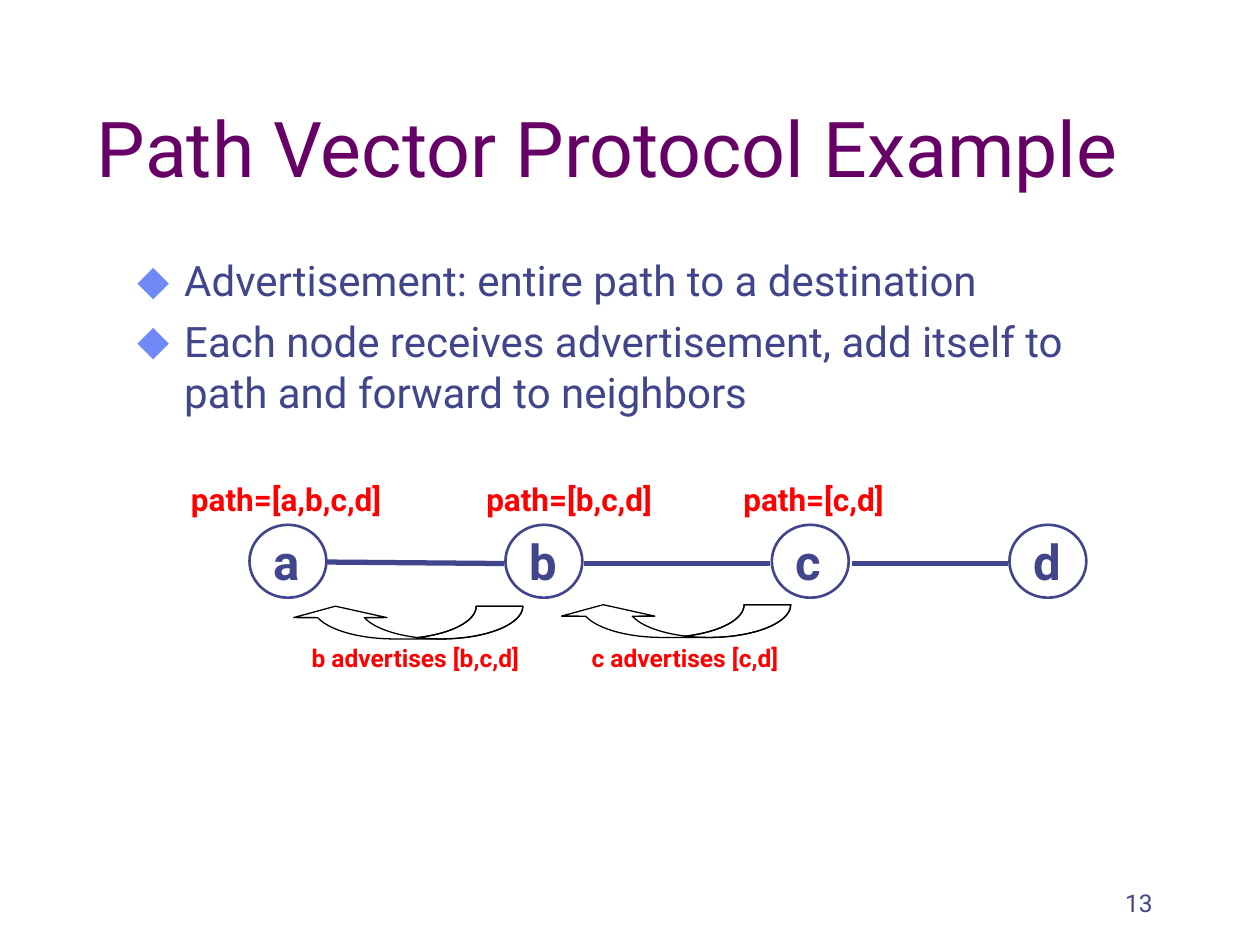
"""Build a slide that shows path vector advertisements along a chain of nodes."""
from copy import deepcopy
from math import acos, asin, cos, pi, sin, tan

from lxml.etree import SubElement
from pptx import Presentation
from pptx.dml.color import RGBColor as RGB
from pptx.enum.shapes import MSO_CONNECTOR as LINK, MSO_SHAPE as SHAPE
from pptx.enum.text import MSO_ANCHOR as ANCHOR, MSO_AUTO_SIZE as AUTO, PP_ALIGN as ALIGN
from pptx.oxml.ns import qn
from pptx.util import Cm, Pt

HUES = {"title": "660066", "ink": "40458C", "mark": "6F89F7", "note": "FF0000", "edge": "000000"}


def write(shape, lines, size, hue, bold=False, align=ALIGN.LEFT, anchor=ANCHOR.TOP):
    frame = shape.text_frame
    frame.text = "\n".join(lines)
    frame.word_wrap = True
    frame.auto_size = AUTO.NONE
    frame.vertical_anchor = anchor
    for para in frame.paragraphs:
        para.alignment = align
        para.font.name = "Roboto"
        para.font.size = Pt(size)
        para.font.bold = bold
        para.font.color.rgb = RGB.from_string(HUES[hue])


def arc(mid, start, end):
    pull = 4 / 3 * tan((end - start) / 4)
    spots = [
        (cos(start) - pull * sin(start), sin(start) + pull * cos(start)),
        (cos(end) + pull * sin(end), sin(end) - pull * cos(end)),
        (cos(end), sin(end)),
    ]
    return [(Cm(mid + 1.65 * x), Cm(0.66 + 0.66 * y)) for x, y in spots]


deck = Presentation()
deck.slide_width, deck.slide_height = Cm(25.4), Cm(19.05)
slide = deck.slides.add_slide(deck.slide_layouts[1])
shapes = slide.shapes

title, body = slide.placeholders
title.left, title.top, title.width, title.height = Cm(1.7), Cm(0.84), Cm(21.59), Cm(3.18)
write(title, ["Path Vector Protocol Example"], 44, "title", anchor=ANCHOR.BOTTOM)

body.left, body.top, body.width, body.height = Cm(2.51), Cm(5.01), Cm(20.7), Cm(11.43)
points = [
    "Advertisement: entire path to a destination",
    "Each node receives advertisement, add itself to path and forward to neighbors",
]
write(body, points, 24, "ink")
for para in body.text_frame.paragraphs:
    para.space_before = Pt(6)
    props = para._p.get_or_add_pPr()
    props.set("marL", str(Cm(0.95)))
    props.set("indent", str(Cm(-0.95)))
    font = props.find(qn("a:defRPr"))
    props.remove(font)
    SubElement(SubElement(props, qn("a:buClr")), qn("a:srgbClr"), val=HUES["mark"])
    SubElement(props, qn("a:buSzPct"), val="110000")
    SubElement(props, qn("a:buChar"), char="⬥")
    props.append(font)

labels = [
    ("path=[c,d]", 14.1, 9.55, 4.6, 1.02, 18),
    ("path=[b,c,d]", 8.95, 9.55, 5.05, 1.02, 18),
    ("path=[a,b,c,d]", 3.14, 9.55, 5.26, 1.02, 18),
    ("c advertises [c,d]", 10.76, 12.83, 6.1, 0.86, 14),
    ("b advertises [b,c,d]", 5.05, 12.83, 6.65, 0.86, 14),
]
for text, left, top, width, height, size in labels:
    box = shapes.add_textbox(Cm(left), Cm(top), Cm(width), Cm(height))
    write(box, [text], size, "note", bold=True, align=ALIGN.CENTER)

near, far = 1.65, 2.59
neck, cross = 2 * pi - asin(0.23 / 0.66), acos(0.47 / 1.65)
rise, back = arc(near, pi, 1.5 * pi), arc(far, pi + cross, pi)
head = [[(Cm(x), Cm(y))] for x, y in [(4.62, 0.43), (3.78, 0.66), (2.74, 0.43)]]
ridge = [(Cm(far), 0)]
hook = arc(near, neck, 2 * pi - cross)
band = [rise, ridge, arc(far, 1.5 * pi, neck), *head, arc(near, neck, neck)[-1:], hook, back]
fold = [rise, arc(near, 1.5 * pi, 2 * pi - cross), back]
for left, top in [(11.32, 12.19), (5.92, 12.22)]:
    form = shapes.build_freeform(0, Cm(0.66))
    form.add_line_segments([step[-1] for step in band], close=True)
    arrow = form.convert_to_shape(Cm(left), Cm(top))
    arrow.left, arrow.top, arrow.rotation = Cm(left), Cm(top), 180
    arrow.shadow.inherit = False
    arrow.fill.background()
    arrow.line.color.rgb = RGB.from_string(HUES["edge"])
    arrow.line.width = Pt(0.75)
    first = next(arrow._element.iter(qn("a:path")))
    second = deepcopy(first)
    first.addnext(second)
    for part, steps in [(first, band), (second, fold)]:
        for old in list(part)[1:]:
            part.remove(old)
        for step in steps:
            seg = SubElement(part, qn("a:cubicBezTo" if len(step) == 3 else "a:lnTo"))
            for x, y in step:
                SubElement(seg, qn("a:pt"), x=str(x), y=str(y))
        SubElement(part, qn("a:close"))

for name, left in zip("bdca", (10.19, 20.35, 15.56, 5.03)):
    node = shapes.add_shape(SHAPE.OVAL, Cm(left), Cm(10.58), Cm(1.55), Cm(1.47))
    node.shadow.inherit = False
    node.fill.background()
    node.line.color.rgb = RGB.from_string(HUES["ink"])
    node.line.width = Pt(1.5)
    write(node, [name], 28, "ink", bold=True, anchor=ANCHOR.MIDDLE)

for start, high, end in [(17.17, 11.36, 20.32), (6.58, 11.33, 10.16), (11.78, 11.36, 15.52)]:
    link = shapes.add_connector(LINK.STRAIGHT, Cm(start), Cm(high), Cm(end), Cm(11.36))
    link.line.color.rgb = RGB.from_string(HUES["ink"])
    link.line.width = Pt(3)
    SubElement(link._element.spPr, qn("a:effectLst"))

page = shapes.add_textbox(Cm(18.21), Cm(17.35), Cm(5.28), Cm(1.27))
write(page, ["13"], 14, "ink", align=ALIGN.RIGHT, anchor=ANCHOR.BOTTOM)

deck.save("out.pptx")
